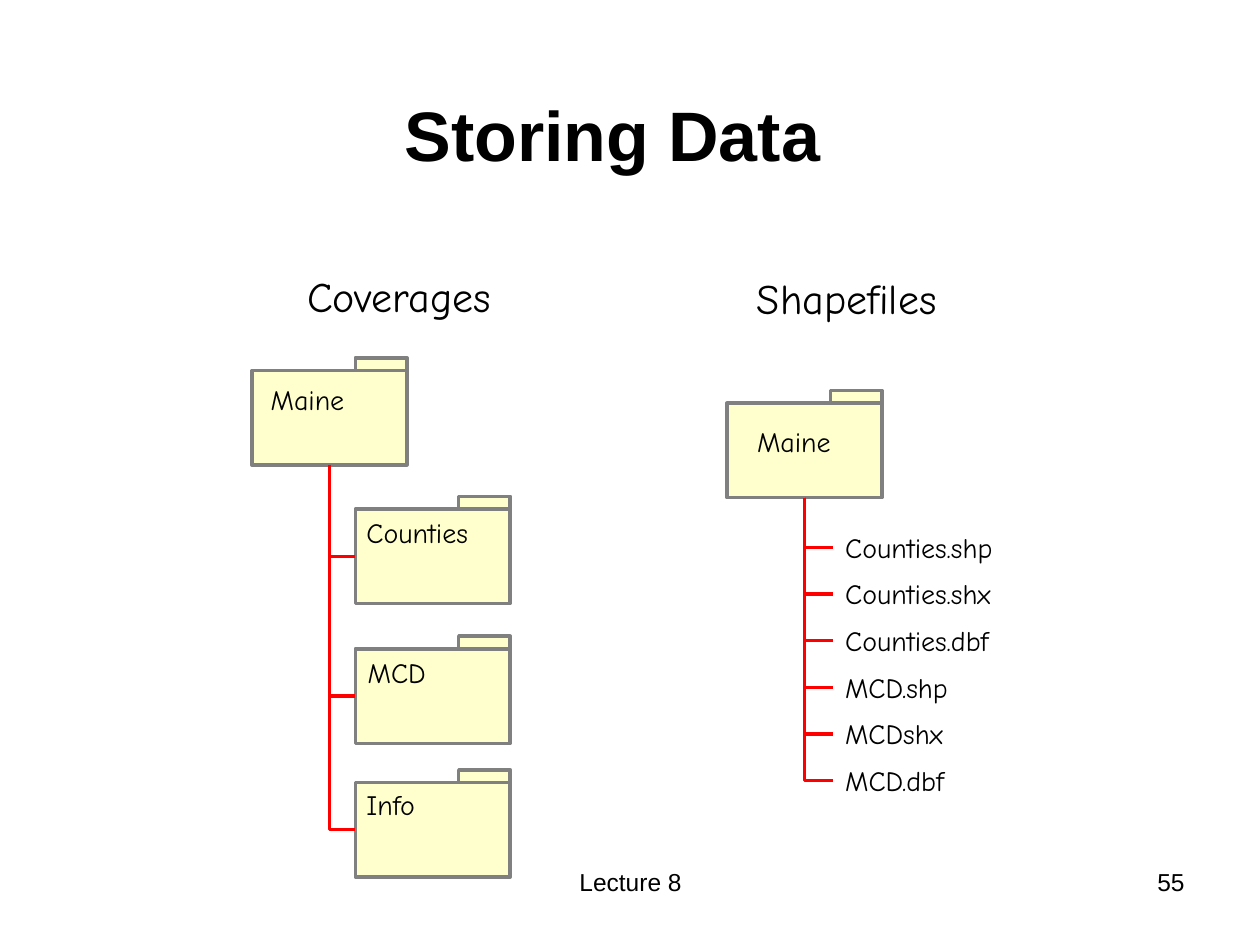
from lxml.etree import SubElement
from pptx import Presentation
from pptx.dml.color import RGBColor
from pptx.enum.shapes import MSO_CONNECTOR, MSO_SHAPE
from pptx.enum.text import MSO_ANCHOR, MSO_AUTO_SIZE, PP_ALIGN
from pptx.oxml.ns import qn
from pptx.util import Inches, Pt

THEME = {
    "ink": RGBColor(0, 0, 0),
    "folder": RGBColor(0xFF, 0xFF, 0xCD),
    "folder_edge": RGBColor(0x80, 0x80, 0x80),
    "branch": RGBColor(0xFF, 0, 0),
    "formal": "Arial",
    "casual": "Comic Neue",
    "title": 40, "heading": 24, "label": 16, "footer": 14, "line": 2,
}

TITLE = ("Storing Data", (0.61, 0.42, 8.5, 1.02))
# Text, left, top, width
HEADINGS = [("Coverages", 2.34, 2.1, 1.77), ("Shapefiles", 5.91, 2.11, 1.86)]
# Folder left and top, then its label: text, left, top, width
COVERAGE_ROOT = (2, 2.94, ("Maine", 2.05, 2.99, 0.81))
SHAPEFILE_ROOT = (5.77, 3.2, ("Maine", 5.91, 3.32, 0.81))
COVERAGE_FOLDERS = [
    (2.82, 4.04, ("Counties", 2.81, 4.04, 1.08)),
    (2.82, 5.15, ("MCD", 2.82, 5.15, 0.69)),
    (2.82, 6.21, ("Info", 2.81, 6.2, 0.67)),
]
FILES = [("Counties.shp", 1.49), ("Counties.shx", 1.5), ("Counties.dbf", 1.51),
         ("MCD.shp", 1.1), ("MCDshx", 1.06), ("MCD.dbf", 1.12)]
FOOTERS = [("Lecture 8", (3.42, 6.83, 3.17, 0.52), PP_ALIGN.CENTER),
           ("55", (7.17, 6.83, 2.33, 0.52), PP_ALIGN.RIGHT)]

FOLDER_WIDTH, FOLDER_HEIGHT = 1.23, 0.75
TAB_WIDTH, TAB_HEIGHT = 0.41, 0.1
FILE_LEFT, FILE_TOP, FILE_STEP = 6.61, 4.16, 0.37
HEADING_HEIGHT, LABEL_HEIGHT = 0.5, 0.37


def format_text(frame, text, role, font, align=PP_ALIGN.LEFT, bold=False):
    frame.text = text
    para = frame.paragraphs[0]
    para.alignment = align
    span = para.runs[0]
    span.font.name = font
    span.font.size = Pt(THEME[role])
    span.font.bold = bold
    span.font.color.rgb = THEME["ink"]


def add_label(slide, label, height, role):
    """Add a one-line text box that hugs its text."""
    text, left, top, width = label
    box = slide.shapes.add_textbox(*map(Inches, (left, top, width, height)))
    box.text_frame.word_wrap = False
    box.text_frame.auto_size = MSO_AUTO_SIZE.SHAPE_TO_FIT_TEXT
    format_text(box.text_frame, text, role, THEME["casual"])


def add_folder(slide, left, top):
    """Group a folder body with the tab above its right corner."""
    group = slide.shapes.add_group_shape()
    tab_left = left + FOLDER_WIDTH - TAB_WIDTH
    for place in ((left, top, FOLDER_WIDTH, FOLDER_HEIGHT),
                  (tab_left, top - TAB_HEIGHT, TAB_WIDTH, TAB_HEIGHT)):
        part = group.shapes.add_shape(MSO_SHAPE.RECTANGLE, *map(Inches, place))
        part.shadow.inherit = False
        part.fill.solid()
        part.fill.fore_color.rgb = THEME["folder"]
        part.line.color.rgb = THEME["folder_edge"]
        part.line.width = Pt(THEME["line"])


def add_branch(slide, root, end_x, end_y):
    """Add an elbow that drops from the root folder, then turns right."""
    start_x, start_y = root[0] + FOLDER_WIDTH / 2, root[1] + FOLDER_HEIGHT
    drop, reach = end_y - start_y, end_x - start_x
    middle_x, middle_y = (start_x + end_x) / 2, (start_y + end_y) / 2
    # The frame is stored before its quarter turn; right to left flips it.
    corners = (middle_x + drop / 2, middle_y - reach / 2,
               middle_x - drop / 2, middle_y + reach / 2)
    branch = slide.shapes.add_connector(MSO_CONNECTOR.ELBOW, *map(Inches, corners))
    branch.line.color.rgb = THEME["branch"]
    branch.line.width = Pt(THEME["line"])
    properties = branch.element.spPr
    properties.find(qn("a:xfrm")).set("rot", str(270 * 60000))
    properties.find(qn("a:prstGeom")).set("prst", "bentConnector2")
    SubElement(properties, qn("a:effectLst"))


def main():
    deck = Presentation()
    deck.slide_width, deck.slide_height = Inches(10), Inches(7.5)
    slide = deck.slides.add_slide(deck.slide_layouts[5])

    text, place = TITLE
    title = slide.shapes.title
    title.left, title.top, title.width, title.height = map(Inches, place)
    title.text_frame.vertical_anchor = MSO_ANCHOR.BOTTOM
    format_text(title.text_frame, text, "title", THEME["formal"], PP_ALIGN.CENTER, True)

    for heading in HEADINGS:
        add_label(slide, heading, HEADING_HEIGHT, "heading")

    for left, top, label in (COVERAGE_ROOT, SHAPEFILE_ROOT, *COVERAGE_FOLDERS):
        add_folder(slide, left, top)
        add_label(slide, label, LABEL_HEIGHT, "label")

    for left, top, _ in COVERAGE_FOLDERS:
        add_branch(slide, COVERAGE_ROOT, left, top + FOLDER_HEIGHT / 2)

    for row, (name, width) in enumerate(FILES):
        top = FILE_TOP + row * FILE_STEP
        add_label(slide, (name, FILE_LEFT, top, width), LABEL_HEIGHT, "label")
        add_branch(slide, SHAPEFILE_ROOT, FILE_LEFT, top + LABEL_HEIGHT / 2)

    for text, place, align in FOOTERS:
        box = slide.shapes.add_textbox(*map(Inches, place))
        box.text_frame.word_wrap = True
        format_text(box.text_frame, text, "footer", THEME["formal"], align)

    deck.save("out.pptx")


if __name__ == "__main__":
    main()
